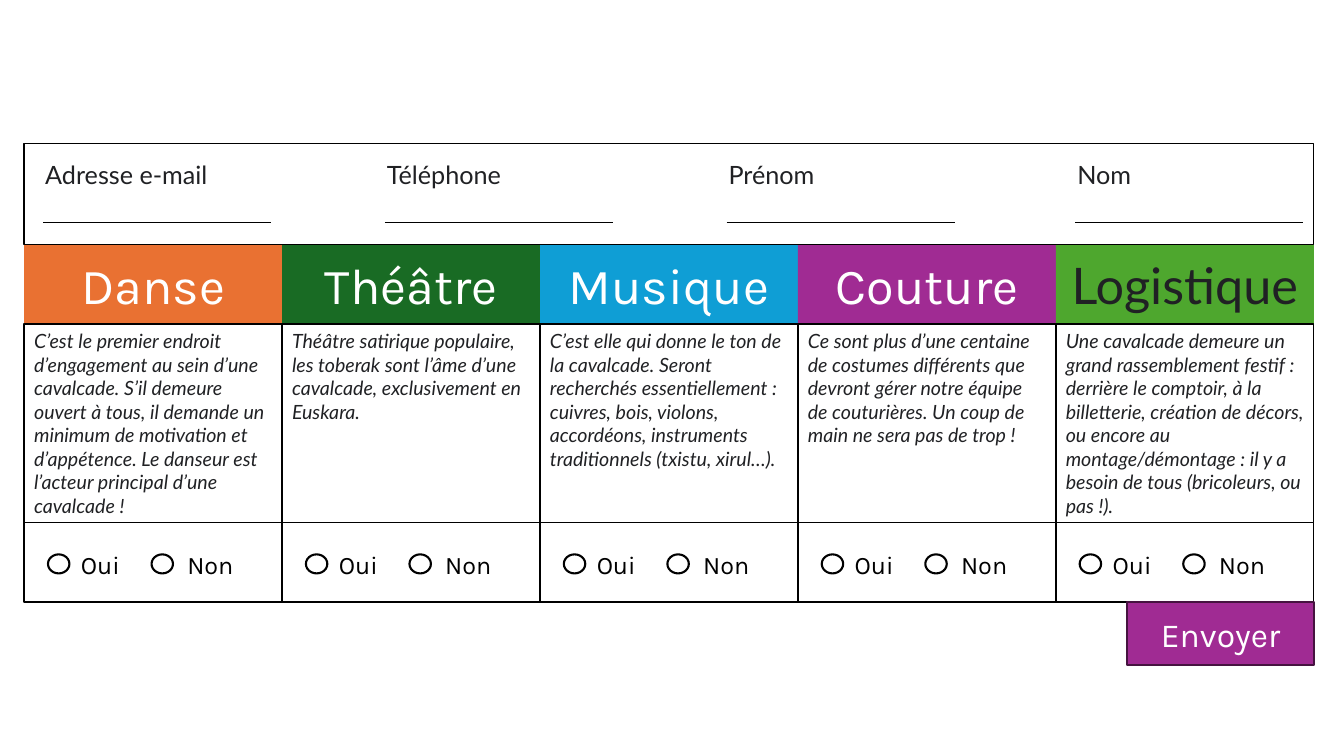
from dataclasses import dataclass
from typing import Optional

import pptx
import pptx.dml.color
import pptx.enum.shapes
import pptx.enum.text
import pptx.oxml
import pptx.oxml.ns
import pptx.util
from pptx.util import Cm

COLORS = {
    "white": "FFFFFF",
    "black": "000000",
    "ink": "202124",
    "orange": "E97132",
    "green": "196B24",
    "blue": "0F9ED5",
    "purple": "A02B93",
    "lime": "4EA72E",
    "plum": "461340",
}
SHAPES = pptx.enum.shapes.MSO_SHAPE
ALIGN = pptx.enum.text.PP_ALIGN
ANCHOR = pptx.enum.text.MSO_ANCHOR

FORM_LEFT = 0.61
COLUMN_WIDTH = 6.5
CONTACT_TOP, CONTACT_HEIGHT = 3.61, 2.56
TITLE_TOP, TITLE_HEIGHT = 6.17, 2.0
DESCRIPTION_TOP, DESCRIPTION_HEIGHT = 8.17, 5.0
ANSWER_TOP, ANSWER_HEIGHT = 13.17, 2.0
SEND_TOP = ANSWER_TOP + ANSWER_HEIGHT
SEND_WIDTH, SEND_HEIGHT = 4.7, 1.6


@dataclass(frozen=True)
class Area:
    left: float
    top: float
    width: float
    height: float

    def lengths(self) -> tuple:
        return Cm(self.left), Cm(self.top), Cm(self.width), Cm(self.height)


@dataclass(frozen=True)
class TextStyle:
    size: float
    font: str
    color: str
    italic: bool = False
    centered: bool = False


@dataclass(frozen=True)
class Workshop:
    title: str
    fill: str
    description: str
    title_font: str = "Karla"
    title_color: str = "white"


@dataclass(frozen=True)
class ContactField:
    label: str
    left: float


@dataclass(frozen=True)
class Choice:
    label: str
    circle_offset: float
    label_offset: float


WORKSHOPS = [
    Workshop("Danse", "orange", "C’est le premier endroit d’engagement au sein d’une cavalcade. "
             "S’il demeure ouvert à tous, il demande un minimum de motivation et d’appétence. "
             "Le danseur est l’acteur principal d’une cavalcade !"),
    Workshop("Théâtre", "green", "Théâtre satirique populaire, les toberak sont l’âme d’une "
             "cavalcade, exclusivement en Euskara."),
    Workshop("Musique", "blue", "C’est elle qui donne le ton de la cavalcade. Seront recherchés "
             "essentiellement : cuivres, bois, violons, accordéons, instruments traditionnels "
             "(txistu, xirul…)."),
    Workshop("Couture", "purple", "Ce sont plus d’une centaine de costumes différents que devront "
             "gérer notre équipe de couturières. Un coup de main ne sera pas de trop !"),
    Workshop("Logistique", "lime", "Une cavalcade demeure un grand rassemblement festif : derrière "
             "le comptoir, à la billetterie, création de décors, ou encore au montage/démontage : "
             "il y a besoin de tous (bricoleurs, ou pas !).", "Lato", "ink"),
]
CONTACT_FIELDS = [
    ContactField("Adresse e-mail", 0.89),
    ContactField("Téléphone", 9.5),
    ContactField("Prénom", 18.11),
    ContactField("Nom", 26.9),
]
CHOICES = [Choice("Oui", 0.6, 1.18), Choice("Non", 3.21, 3.86)]

DESCRIPTION_STYLE = TextStyle(14, "Lato", "ink", italic=True)
CHOICE_STYLE = TextStyle(18, "Karla", "black")
FIELD_STYLE = TextStyle(18, "Lato", "ink")
SEND_STYLE = TextStyle(24, "Karla", "white", centered=True)


def rgb(name: str) -> pptx.dml.color.RGBColor:
    return pptx.dml.color.RGBColor.from_string(COLORS[name])


def write(frame, text: str, style: TextStyle) -> None:
    frame.word_wrap = True
    frame.vertical_anchor = ANCHOR.MIDDLE if style.centered else ANCHOR.TOP
    paragraph = frame.paragraphs[0]
    paragraph.text = text
    paragraph.alignment = ALIGN.CENTER if style.centered else ALIGN.LEFT
    paragraph.font.size = pptx.util.Pt(style.size)
    paragraph.font.name = style.font
    paragraph.font.italic = style.italic
    paragraph.font.color.rgb = rgb(style.color)


def add_box(slide, area: Area, fill: Optional[str] = None, line: Optional[str] = None,
            line_width: float = 1, kind=SHAPES.RECTANGLE, text: str = "",
            style: Optional[TextStyle] = None) -> None:
    box = slide.shapes.add_shape(kind, *area.lengths())
    box.shadow.inherit = False
    if fill:
        box.fill.solid()
        box.fill.fore_color.rgb = rgb(fill)
    else:
        box.fill.background()
    if line:
        box.line.color.rgb = rgb(line)
        box.line.width = pptx.util.Pt(line_width)
    else:
        box.line.fill.background()
    if style:
        write(box.text_frame, text, style)


def add_label(slide, area: Area, text: str, style: TextStyle) -> None:
    write(slide.shapes.add_textbox(*area.lengths()).text_frame, text, style)


def add_answer_line(slide, left: float, top: float, length: float) -> None:
    rule = slide.shapes.add_connector(pptx.enum.shapes.MSO_CONNECTOR.STRAIGHT,
                                      Cm(left), Cm(top), Cm(left + length), Cm(top))
    rule.line.color.rgb = rgb("black")
    rule.line.width = pptx.util.Pt(1)
    properties = rule._element.spPr
    properties.append(pptx.oxml.parse_xml(f"<a:effectLst {pptx.oxml.ns.nsdecls('a')}/>"))


def add_workshop(slide, workshop: Workshop, left: float) -> None:
    title_style = TextStyle(36, workshop.title_font, workshop.title_color, centered=True)
    add_box(slide, Area(left, TITLE_TOP, COLUMN_WIDTH, TITLE_HEIGHT), workshop.fill,
            text=workshop.title, style=title_style)
    add_box(slide, Area(left, DESCRIPTION_TOP, COLUMN_WIDTH, DESCRIPTION_HEIGHT), line="black",
            text=workshop.description, style=DESCRIPTION_STYLE)
    add_box(slide, Area(left, ANSWER_TOP, COLUMN_WIDTH, ANSWER_HEIGHT), "white", "black")
    for choice in CHOICES:
        add_box(slide, Area(left + choice.circle_offset, ANSWER_TOP + 0.8, 0.54, 0.48),
                "white", "black", 1.5, SHAPES.OVAL)
        add_label(slide, Area(left + choice.label_offset, ANSWER_TOP + 0.55, 1.75, 1.02),
                  choice.label, CHOICE_STYLE)


def add_contact_field(slide, field: ContactField) -> None:
    add_label(slide, Area(field.left, CONTACT_TOP + 0.28, 5, 0.99), field.label, FIELD_STYLE)
    add_answer_line(slide, field.left + 0.2, CONTACT_TOP + 2, 5.75)


def main() -> None:
    presentation = pptx.Presentation()
    presentation.slide_width = Cm(33.87)
    presentation.slide_height = Cm(19.05)
    slide = presentation.slides.add_slide(presentation.slide_layouts[6])

    for column, workshop in enumerate(WORKSHOPS):
        add_workshop(slide, workshop, FORM_LEFT + column * COLUMN_WIDTH)
    for field in CONTACT_FIELDS:
        add_contact_field(slide, field)

    form_width = COLUMN_WIDTH * len(WORKSHOPS)
    add_box(slide, Area(FORM_LEFT, CONTACT_TOP, form_width, CONTACT_HEIGHT), line="black")
    add_box(slide, Area(FORM_LEFT + form_width - SEND_WIDTH, SEND_TOP, SEND_WIDTH, SEND_HEIGHT),
            "purple", "plum", 1.5, text="Envoyer", style=SEND_STYLE)
    presentation.save("out.pptx")


if __name__ == "__main__":
    main()
